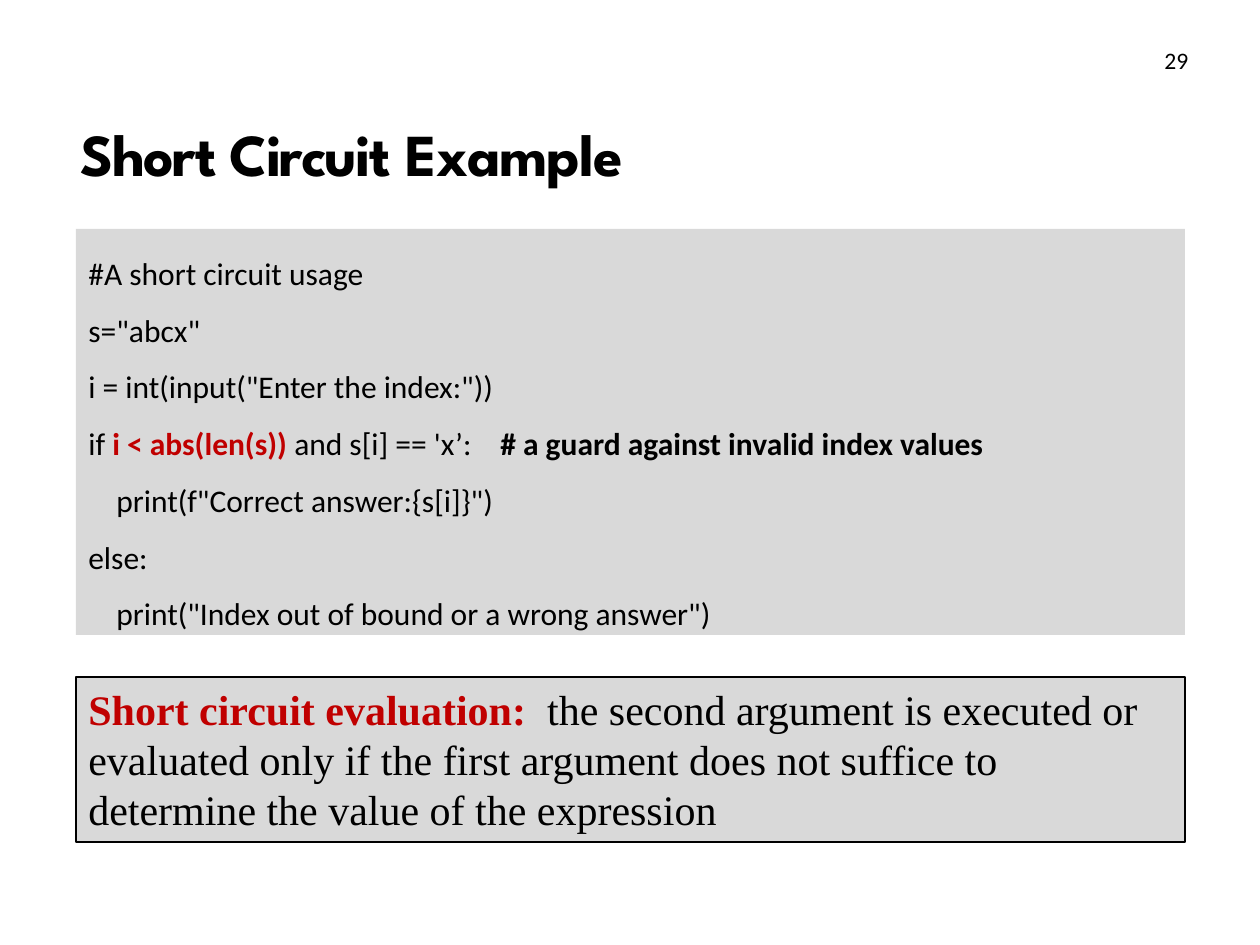
from dataclasses import dataclass

from lxml.etree import SubElement as Sub
from pptx import Presentation
from pptx.dml.color import RGBColor as Rgb
from pptx.enum.shapes import MSO_SHAPE as Kind
from pptx.enum.text import MSO_ANCHOR as Anchor, PP_ALIGN as Align
from pptx.oxml.ns import qn
from pptx.util import Emu, Pt


@dataclass(frozen=True)
class Theme:
    """Colours, fonts and type sizes."""
    ink: str = "000000"
    red: str = "C00000"
    grey: str = "D9D9D9"
    head: tuple = ("League Spartan", 34)
    page: tuple = ("Calibri", 13.5)
    code: tuple = ("Calibri", 18)
    note: tuple = ("Times New Roman", 24)


T = Theme()


def px(n):
    """Turn px into EMU."""
    return Emu(round(n * 914400 / 126))


def add_run(para, text, font, color=T.ink, bold=False, track=0):
    """Add one styled run."""
    run = para.add_run()
    run.text = text
    face = run.font
    face.name, face.size = font[0], Pt(font[1])
    face.bold = bold
    face.color.rgb = Rgb.from_string(color)
    if track:
        face._element.set("spc", str(track))


def add_text(slide, box):
    """Add a wrapping text box and return its frame."""
    frame = slide.shapes.add_textbox(*map(px, box)).text_frame
    frame.word_wrap = True
    return frame


def add_panel(slide, box, line=None):
    """Add a grey panel and return its frame."""
    panel = slide.shapes.add_shape(Kind.RECTANGLE, *map(px, box))
    panel.shadow.inherit = False
    panel.fill.solid()
    panel.fill.fore_color.rgb = Rgb.from_string(T.grey)
    if line:
        panel.line.color.rgb = Rgb.from_string(line)
        panel.line.width = Pt(1)
    else:
        panel.line.fill.background()
    frame = panel.text_frame
    frame.word_wrap = True
    frame.vertical_anchor = Anchor.TOP
    return frame


def set_tab(para, stop):
    """Put a left tab stop into a paragraph."""
    tabs = Sub(para._p.get_or_add_pPr(), qn("a:tabLst"))
    Sub(tabs, qn("a:tab"), pos=str(px(stop)), algn="l")


def indent(para, left):
    """Indent a whole paragraph."""
    props = para._p.get_or_add_pPr()
    props.set("marL", str(px(left)))
    props.set("indent", "0")


def add_title(slide):
    """Add the slide title."""
    frame = add_text(slide, (60, 106, 1071, 81))
    frame.vertical_anchor = Anchor.MIDDLE
    frame.margin_left = frame.margin_right = frame.margin_bottom = 0
    frame.margin_top = px(13)
    para = frame.paragraphs[0]
    para.space_before = Pt(1)
    indent(para, 21)
    add_run(para, "Short Circuit ", T.head, bold=True, track=-90)
    add_run(para, "Example", T.head, bold=True, track=-50)


def add_code(slide, lines):
    """Add the code listing, one paragraph a line."""
    frame = add_panel(slide, (76, 229, 1109, 406))
    for n, (depth, runs) in enumerate(lines):
        para = frame.add_paragraph() if n else frame.paragraphs[0]
        para.alignment = Align.LEFT
        para.line_spacing = 1.5
        if depth:
            indent(para, 28 * depth)
        if any("\t" in text for text, *_ in runs):
            set_tab(para, 412)
        for text, *style in runs:
            add_run(para, text, T.code, *style)


def add_note(slide):
    """Add the framed definition."""
    para = add_panel(slide, (76, 677, 1109, 165), T.ink).paragraphs[0]
    para.alignment = Align.LEFT
    add_run(para, "Short circuit evaluation:  ", T.note, T.red, True)
    add_run(para, "the second argument is executed or evaluated only if "
            "the first argument does not suffice to determine the value "
            "of the expression", T.note)


def main():
    """Build and save the slide."""
    deck = Presentation()
    deck.slide_width, deck.slide_height = px(1260), px(945)
    slide = deck.slides.add_slide(deck.slide_layouts[6])
    add_title(slide)
    page = add_text(slide, (1152, 40, 108, 106))
    add_run(page.paragraphs[0], "29", T.page)
    add_code(slide, [
        (0, [("#A short circuit usage",)]),
        (0, [('s="abcx"',)]),
        (0, [('i = int(input("Enter the index:"))',)]),
        (0, [("if ",), ("i < abs(len(s)) ", T.red, True),
             ("and s[i] == 'x’:\t",),
             ("# a guard against invalid index values", T.ink, True)]),
        (1, [('print(f"Correct answer:{s[i]}")',)]),
        (0, [("else:",)]),
        (1, [('print("Index out of bound or a wrong answer")',)]),
    ])
    add_note(slide)
    deck.save("out.pptx")


if __name__ == "__main__":
    main()
